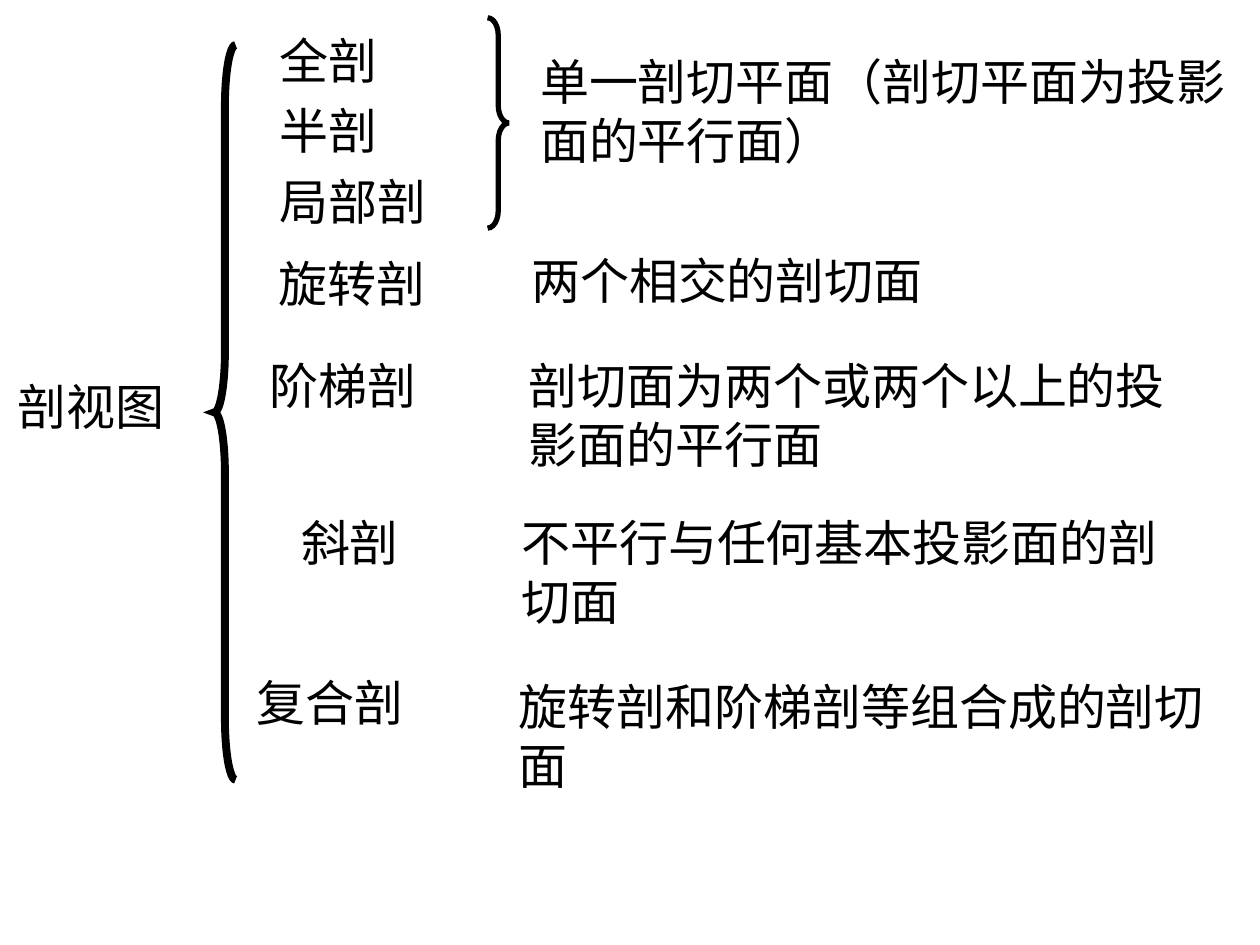
import lxml.etree
import pptx
import pptx.util
import pptx.dml.color
import pptx.enum.shapes
import pptx.enum.text
import pptx.oxml.ns

Cm = pptx.util.Cm
Pt = pptx.util.Pt
Shape = pptx.enum.shapes.MSO_SHAPE
Fit = pptx.enum.text.MSO_AUTO_SIZE

theme = {
    "ink": pptx.dml.color.RGBColor(0, 0, 0),
    "font": "Times New Roman",
    "size": Pt(28),
}

deck = pptx.Presentation()
deck.slide_width = Cm(25.4)
deck.slide_height = Cm(19.05)
slide = deck.slides.add_slide(deck.slide_layouts[6])

braces = [
    (Shape.LEFT_BRACE, 4.32, 0.91, 0.43, 14.81, 2.86, 4.5),
    (Shape.RIGHT_BRACE, 9.83, 0.36, 0.43, 4.24, 0.82, 3),
]
for kind, left, top, width, height, curve, weight in braces:
    brace = slide.shapes.add_shape(kind, Cm(left), Cm(top), Cm(width), Cm(height))
    brace.adjustments[0] = curve
    brace.shadow.inherit = False
    brace.fill.background()
    brace.line.color.rgb = theme["ink"]
    brace.line.width = Pt(weight)
    edge = brace.line._get_or_add_ln()
    join = lxml.etree.SubElement(edge, pptx.oxml.ns.qn("a:miter"))
    join.set("lim", "800000")

one, two, three = 1.45, 2.64, 4.52
pair, trio, eight = 2.54, 3.54, 8.48
labels = [
    (0.1, 7.47, trio, one, False, 1, ["剖视图"]),
    (5.38, 0.25, trio, three, False, 1.2, ["全剖", "半剖", "局部剖"]),
    (10.64, 0.91, 14.86, two, True, 1, ["单一剖切平面（剖切平面为投影面的平行面）"]),
    (5.36, 4.98, trio, one, False, 1, ["旋转剖"]),
    (10.46, 4.93, eight, one, False, 1, ["两个相交的剖切面"]),
    (5.18, 7.04, trio, one, False, 1, ["阶梯剖"]),
    (10.41, 7.04, 14.22, two, True, 1, ["剖切面为两个或两个以上的投影面的平行面"]),
    (5.82, 10.21, pair, one, False, 1, ["斜剖"]),
    (10.26, 10.21, 13.79, two, True, 1, ["不平行与任何基本投影面的剖切面"]),
    (4.93, 13.44, trio, one, False, 1, ["复合剖"]),
    (10.21, 13.51, 14.43, two, True, 1, ["旋转剖和阶梯剖等组合成的剖切面"]),
]
for left, top, width, height, wrap, pitch, lines in labels:
    box = slide.shapes.add_textbox(Cm(left), Cm(top), Cm(width), Cm(height))
    frame = box.text_frame
    frame.word_wrap = wrap
    frame.auto_size = Fit.SHAPE_TO_FIT_TEXT
    for index, line in enumerate(lines):
        para = frame.add_paragraph() if index else frame.paragraphs[0]
        para.line_spacing = float(pitch)
        run = para.add_run()
        run.text = line
        run.font.name = theme["font"]
        run.font.size = theme["size"]
        run.font.color.rgb = theme["ink"]

deck.save("out.pptx")
